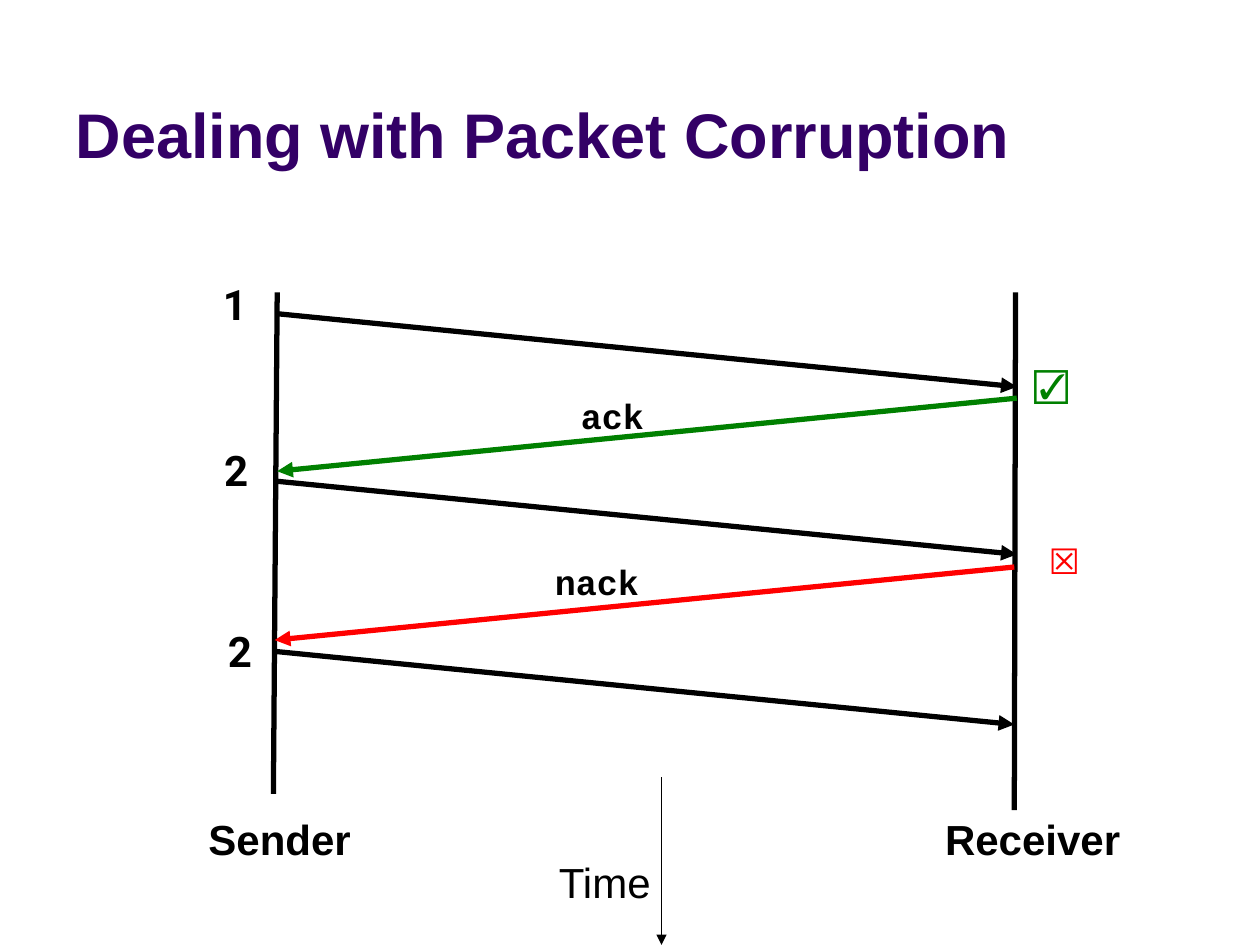
from pptx import Presentation, util as u
from pptx.dml.color import RGBColor
from pptx.enum import shapes as sh, text as tx
from pptx.oxml.ns import qn
from lxml import etree

THEME = dict(
    ink="000000", title="330066", good="008000", bad="FF0000",
    sans="Arial", mono="Courier New", num="Roboto",
    head=36, label=24, note=20, thick=3, thin=1,
)
TITLE = "Dealing with Packet Corruption"
AXES = [((2.2, 2.32), (2.17, 6.3)), ((8.06, 2.32), (8.05, 6.43))]
CLOCK = ((5.25, 6.17), (5.25, 7.5))
DROP, SPAN = 0.58, 5.87
SENDS = [
    (2.2, 2.49, "ink", True), (2.2, 3.16, "good", False),
    (2.2, 3.82, "ink", True), (2.18, 4.5, "bad", False),
    (2.18, 5.17, "ink", True),
]
NAMES = [
    ("Time", (4.33, 6.75, 0.94, 0.5), False),
    ("Sender", (1.55, 6.41, 1.34, 0.5), True),
    ("Receiver", (7.39, 6.41, 1.61, 0.5), True),
]
PACKETS = [
    ("1", (1.68, 2.17, 0.36, 0.49)),
    ("2", (1.66, 3.49, 0.4, 0.49)),
    ("2", (1.69, 4.92, 0.4, 0.49)),
]
REPLIES = [("ack", (4.5, 3.08, 0.71, 0.44)), ("nack", (4.29, 4.4, 0.88, 0.44))]
MARKS = [
    ("☑", (7.92, 2.83, 0.66, 0.44), "good", True),
    ("☒", (8.05, 4.23, 0.62, 0.44), "bad", False),
]


def write(shape, words, font="sans", size="label", color="ink", bold=True,
          align="RIGHT", anchor="TOP", wrap=False, inset=(0.1, 0.05)):
    frame = shape.text_frame
    frame.word_wrap = wrap
    frame.vertical_anchor = getattr(tx.MSO_ANCHOR, anchor)
    frame.margin_left = frame.margin_right = u.Inches(inset[0])
    frame.margin_top = frame.margin_bottom = u.Inches(inset[1])
    par = frame.paragraphs[0]
    par.alignment = getattr(tx.PP_ALIGN, align)
    run = par.add_run()
    run.text = words
    run.font.name = THEME[font]
    run.font.size = u.Pt(THEME[size])
    run.font.bold = bold
    run.font.color.rgb = RGBColor.from_string(THEME[color])


def label(slide, words, box, **form):
    write(slide.shapes.add_textbox(*map(u.Inches, box)), words, **form)


def line(slide, start, end, color="ink", width="thick", arrow=False):
    link = slide.shapes.add_connector(
        sh.MSO_CONNECTOR.STRAIGHT, *map(u.Inches, (*start, *end)))
    link.line.color.rgb = RGBColor.from_string(THEME[color])
    link.line.width = u.Pt(THEME[width])
    if arrow:
        etree.SubElement(link.line._get_or_add_ln(), qn("a:tailEnd"), type="triangle")
    etree.SubElement(link._element.spPr, qn("a:effectLst"))


def main():
    deck = Presentation()
    deck.slide_width, deck.slide_height = u.Inches(10), u.Inches(7.5)
    slide = deck.slides.add_slide(deck.slide_layouts[5])
    title = slide.shapes.title
    title.left, title.top, title.width, title.height = map(
        u.Inches, (0.5, 0.13, 9, 1.28))
    write(title, TITLE, size="head", color="title", align="LEFT",
          anchor="BOTTOM", wrap=True)

    line(slide, *CLOCK, width="thin", arrow=True)
    for start, end in AXES:
        line(slide, start, end)
    for left, top, color, right in SENDS:
        near, far = (left, left + SPAN) if right else (left + SPAN, left)
        line(slide, (near, top), (far, top + DROP), color=color, arrow=True)

    for words, box, bold in NAMES:
        label(slide, words, box, bold=bold, align="CENTER", anchor="MIDDLE")
    for words, box in PACKETS:
        label(slide, words, box, font="num", inset=(0.09, 0.04))
    for words, box in REPLIES:
        label(slide, words, box, font="mono", size="note")
    for words, box, color, bold in MARKS:
        label(slide, words, box, size="note", color=color, bold=bold, wrap=True)
    deck.save("out.pptx")


if __name__ == "__main__":
    main()
